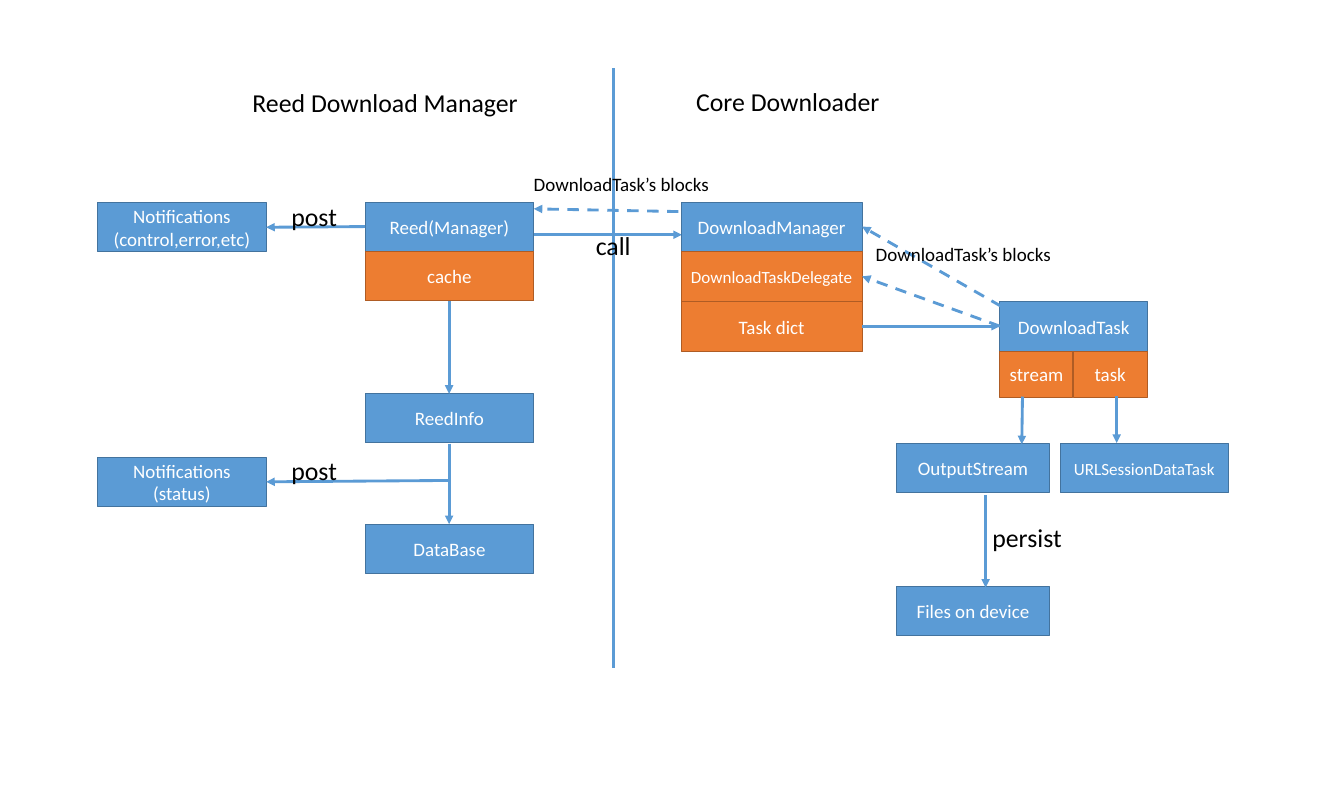
import pptx
import pptx.dml.color
import pptx.enum.dml
import pptx.enum.shapes
import pptx.enum.text
import pptx.oxml
import pptx.oxml.ns
import pptx.util

PX = 9144
COLORS = {"blue": "5B9BD5", "blue edge": "43739E", "orange": "ED7D31",
          "orange edge": "AF5C24", "white": "FFFFFF", "black": "000000"}
ANCHOR = pptx.enum.text.MSO_ANCHOR
ALIGN = pptx.enum.text.PP_ALIGN
BLOCK_FRAME = {"word_wrap": True, "vertical_anchor": ANCHOR.MIDDLE}
LABEL_FRAME = {"word_wrap": False, "vertical_anchor": ANCHOR.TOP,
               "auto_size": pptx.enum.text.MSO_AUTO_SIZE.SHAPE_TO_FIT_TEXT}
ROW = 73


def rgb(name):
    """Return the named colour."""
    return pptx.dml.color.RGBColor.from_string(COLORS[name])


def emu(origin, *point):
    """Turn a px point within a region into slide EMU."""
    return [(start + offset) * PX for start, offset in zip(origin, point)]


def apply(target, values):
    """Set each attribute in a dict of format values."""
    for name, value in values.items():
        setattr(target, name, value)


def write(frame, wording, size, color, align, frame_format):
    """Put formatted wording into a text frame, one paragraph a line."""
    apply(frame, frame_format)
    frame.text = wording
    for paragraph in frame.paragraphs:
        paragraph.alignment = align
        for run in paragraph.runs:
            apply(run.font, {"name": "Calibri", "size": pptx.util.Pt(size)})
            run.font.color.rgb = rgb(color)


def block(slide, origin, wording, left, top, width, height=72, hue="blue", size=20):
    """Draw a filled component block with centred wording."""
    component = slide.shapes.add_shape(pptx.enum.shapes.MSO_SHAPE.RECTANGLE,
                                       *emu(origin, left, top), width * PX, height * PX)
    component.shadow.inherit = False
    component.fill.solid()
    component.fill.fore_color.rgb = rgb(hue)
    component.line.color.rgb = rgb(hue + " edge")
    component.line.width = pptx.util.Pt(1)
    write(component.text_frame, wording, size, "white", ALIGN.CENTER, BLOCK_FRAME)


def label(slide, origin, wording, left, top, width, height=56, size=27.2):
    """Place a plain caption."""
    caption = slide.shapes.add_textbox(*emu(origin, left, top), width * PX, height * PX)
    write(caption.text_frame, wording, size, "black", ALIGN.LEFT, LABEL_FRAME)


def link(slide, origin, start, end, dashed=False, arrow=True):
    """Draw a straight link, by default with an arrowhead at its end."""
    flow = slide.shapes.add_connector(pptx.enum.shapes.MSO_CONNECTOR.STRAIGHT,
                                      *emu(origin, *start), *emu(origin, *end))
    flow.line.color.rgb = rgb("blue")
    flow.line.width = pptx.util.Pt(3)
    if dashed:
        flow.line.dash_style = pptx.enum.dml.MSO_LINE.DASH
    properties = flow._element.spPr
    if arrow:
        head = pptx.oxml.parse_xml(
            f'<a:tailEnd {pptx.oxml.ns.nsdecls("a")} type="triangle"/>')
        properties.find(pptx.oxml.ns.qn("a:ln")).append(head)
    properties.append(pptx.oxml.parse_xml(f'<a:effectLst {pptx.oxml.ns.nsdecls("a")}/>'))


def draw_boundary(slide, origin):
    """Draw the divider and the calls that cross it."""
    link(slide, origin, (117, 0), (117, 879), arrow=False)
    link(slide, origin, (0, 244), (217, 244))
    link(slide, origin, (212, 210), (0, 206), dashed=True)
    label(slide, origin, "call", 81, 232, 72)
    label(slide, origin, "DownloadTask’s blocks", -10, 148, 279, 44, 20)


def draw_reed(slide, origin):
    """Draw the manager side with its notifications and storage."""
    width, column, spine = 247, 392, 515
    for wording, left, top in (("Reed(Manager)", column, 196), ("ReedInfo", column, 477),
                               ("DataBase", column, 668),
                               ("Notifications\n(control,error,etc)", 0, 197),
                               ("Notifications\n(status)", 0, 570)):
        block(slide, origin, wording, left, top, width)
    block(slide, origin, "cache", column, 268, width, ROW, "orange")
    for start, end in (((spine, 341), (spine, 477)), ((spine, 550), (spine, 668)),
                       ((spine, 604), (width, 606)), ((column, 232), (width, 233))):
        link(slide, origin, start, end)
    for top in (189, 561):
        label(slide, origin, "post", 274, top, 88)
    label(slide, origin, "Reed Download Manager", 217, 22, 412)


def draw_core(slide, origin):
    """Draw the downloader side with its tasks and output."""
    width, task_left, output_left, output_width = 265, 467, 316, 223
    block(slide, origin, "DownloadManager", 0, 196, width)
    block(slide, origin, "DownloadTaskDelegate", 0, 269, width, ROW, "orange", 18)
    block(slide, origin, "Task dict", 0, 269 + ROW, width, ROW, "orange")
    block(slide, origin, "DownloadTask", task_left, 342, 216, ROW)
    block(slide, origin, "stream", task_left, 342 + ROW, 107, 67, "orange")
    block(slide, origin, "task", task_left + 107, 342 + ROW, 109, 67, "orange")
    block(slide, origin, "URLSessionDataTask", 555, 550, 247, size=18)
    for wording, top in (("OutputStream", 550), ("Files on device", 759)):
        block(slide, origin, wording, output_left, top, output_width)
    for start, end, dashed in (((task_left, 378), (width, 305), True),
                               ((469, 349), (width, 232), True),
                               ((width, 378), (task_left, 378), False),
                               ((638, 480), (638, 549), False),
                               ((500, 481), (499, 551), False),
                               ((446, 625), (446, 761), False)):
        link(slide, origin, start, end, dashed)
    label(slide, origin, "DownloadTask’s blocks", 275, 250, 279, 44, 20)
    label(slide, origin, "persist", 446, 660, 123)
    label(slide, origin, "Core Downloader", 12, 21, 307)


def main():
    """Build the slide and save it."""
    deck = pptx.Presentation()
    apply(deck, {"slide_width": 1969 * PX, "slide_height": 1181 * PX})
    slide = deck.slides.add_slide(deck.slide_layouts[6])
    for draw, origin in ((draw_boundary, (782, 100)), (draw_reed, (143, 100)),
                         (draw_core, (998, 100))):
        draw(slide, origin)
    deck.save("out.pptx")


if __name__ == "__main__":
    main()
